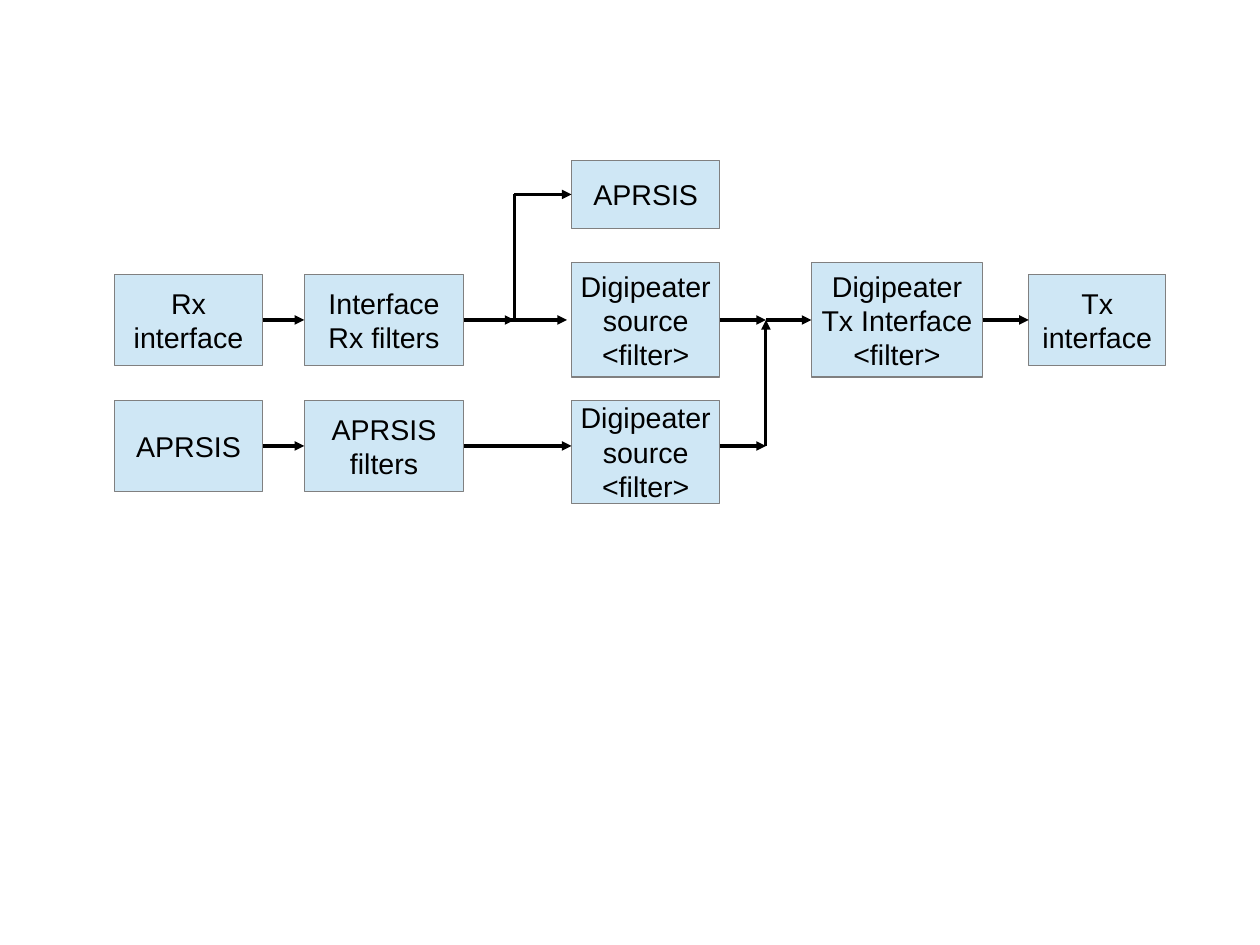
from typing import NamedTuple

from lxml.etree import SubElement
from pptx import Presentation
from pptx.dml.color import RGBColor
from pptx.dml.line import LineFormat
from pptx.enum.shapes import MSO_CONNECTOR, MSO_SHAPE
from pptx.enum.text import MSO_ANCHOR, PP_ALIGN
from pptx.oxml.ns import qn
from pptx.shapes.shapetree import SlideShapes as Shapes
from pptx.util import Cm, Pt

FRAME = {
    "word_wrap": False,
    "vertical_anchor": MSO_ANCHOR.MIDDLE,
    "margin_left": Cm(0.25),
    "margin_right": Cm(0.25),
    "margin_top": Cm(0.13),
    "margin_bottom": Cm(0.13),
}
FONT = {"name": "Arial", "size": Pt(18)}

# Rows of the flow (centre lines) and the two junctions, in cm
TOP, MAIN, LOW = 4.32, 7.11, 9.91
FORK, JOIN = 11.43, 17.02


class Box(NamedTuple):
    text: str
    left: float
    mid: float
    width: float
    height: float


class Link(NamedTuple):
    x1: float
    y1: float
    x2: float
    y2: float
    arrow: bool = True


BOXES = [
    Box("Rx\ninterface", 2.54, MAIN, 3.3, 2.03),
    Box("Interface\nRx filters", 6.76, MAIN, 3.55, 2.03),
    Box("Digipeater\nsource\n<filter>", 12.7, MAIN, 3.3, 2.54),
    Box("Digipeater\nTx Interface\n<filter>", 18.03, MAIN, 3.81, 2.54),
    Box("Tx\ninterface", 22.86, MAIN, 3.05, 2.03),
    Box("APRSIS", 2.54, LOW, 3.3, 2.03),
    Box("APRSIS\nfilters", 6.76, LOW, 3.55, 2.03),
    Box("Digipeater\nsource\n<filter>", 12.7, LOW + 0.13, 3.3, 2.29),
    Box("APRSIS", 12.7, TOP, 3.3, 1.52),
]

LINKS = [
    Link(5.84, MAIN, 6.76, MAIN),
    Link(10.31, MAIN, FORK, MAIN),
    Link(11.33, MAIN, 12.6, MAIN),
    Link(FORK, TOP, 12.7, TOP),
    Link(FORK, TOP, FORK, MAIN, arrow=False),
    Link(16, MAIN, JOIN, MAIN),
    Link(JOIN, MAIN, 18.03, MAIN),
    Link(21.84, MAIN, 22.86, MAIN),
    Link(5.84, LOW, 6.76, LOW),
    Link(10.31, LOW, 12.7, LOW),
    Link(16, LOW, JOIN, LOW),
    Link(JOIN, LOW, JOIN, MAIN),
]


def paint(part, color: str) -> None:
    """Give a fill a solid colour."""
    part.solid()
    part.fore_color.rgb = RGBColor.from_string(color)


def hairline(line: LineFormat, color: str) -> None:
    paint(line.fill, color)
    line.width = Pt(0)


def assign(target, values: dict) -> None:
    for name, value in values.items():
        setattr(target, name, value)


def draw_box(shapes: Shapes, box: Box) -> None:
    shape = shapes.add_shape(
        MSO_SHAPE.RECTANGLE, Cm(box.left), Cm(box.mid - box.height / 2),
        Cm(box.width), Cm(box.height))
    shape.shadow.inherit = False
    paint(shape.fill, "CFE7F5")
    hairline(shape.line, "808080")
    frame = shape.text_frame
    assign(frame, FRAME)
    frame.text = box.text
    for para in frame.paragraphs:
        para.alignment = PP_ALIGN.CENTER
        for run in para.runs:
            assign(run.font, FONT)
            paint(run.font.fill, "000000")


def draw_link(shapes: Shapes, link: Link) -> None:
    line = shapes.add_connector(
        MSO_CONNECTOR.STRAIGHT, Cm(link.x1), Cm(link.y1),
        Cm(link.x2), Cm(link.y2))
    hairline(line.line, "000000")
    props = line._element.spPr
    if link.arrow:
        SubElement(props.find(qn("a:ln")), qn("a:tailEnd"), type="triangle")
    SubElement(props, qn("a:effectLst"))


def main() -> None:
    deck = Presentation()
    deck.slide_width, deck.slide_height = Cm(28), Cm(21)
    shapes = deck.slides.add_slide(deck.slide_layouts[6]).shapes
    for box in BOXES:
        draw_box(shapes, box)
    for link in LINKS:
        draw_link(shapes, link)
    deck.save("out.pptx")


if __name__ == "__main__":
    main()
